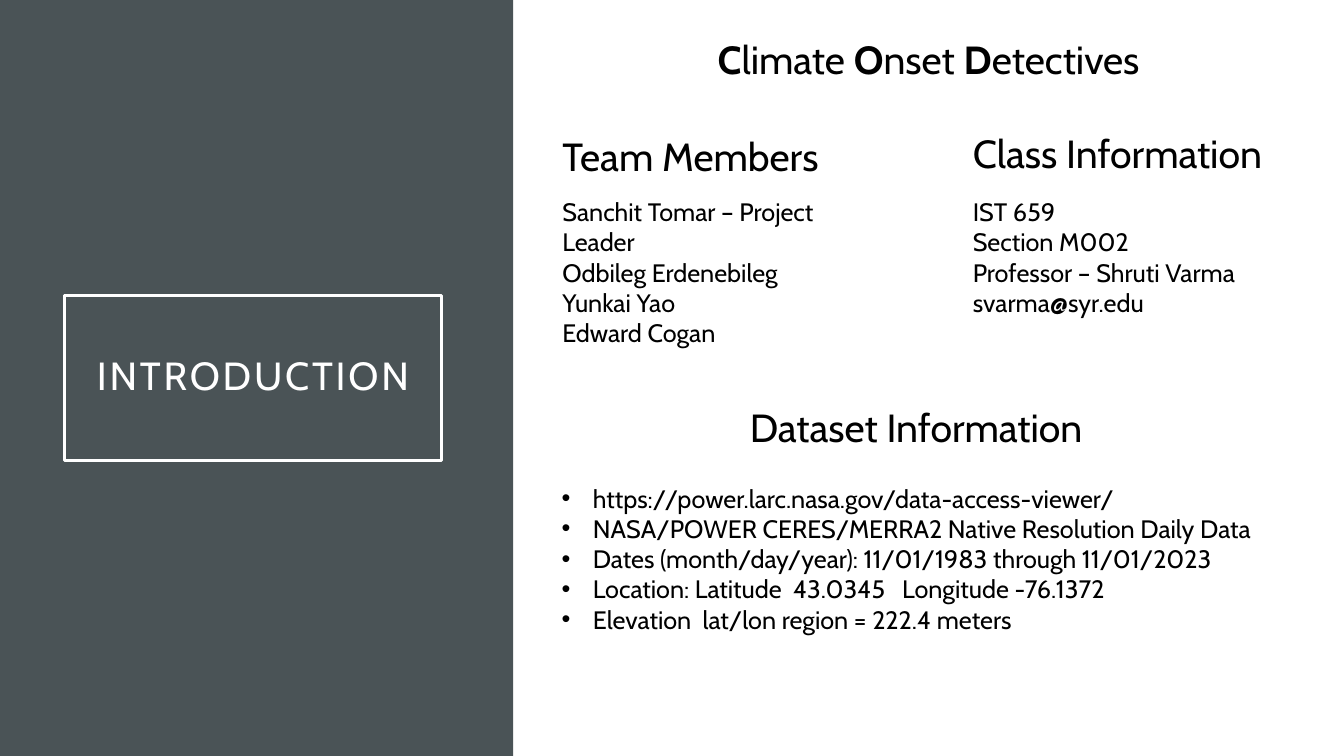
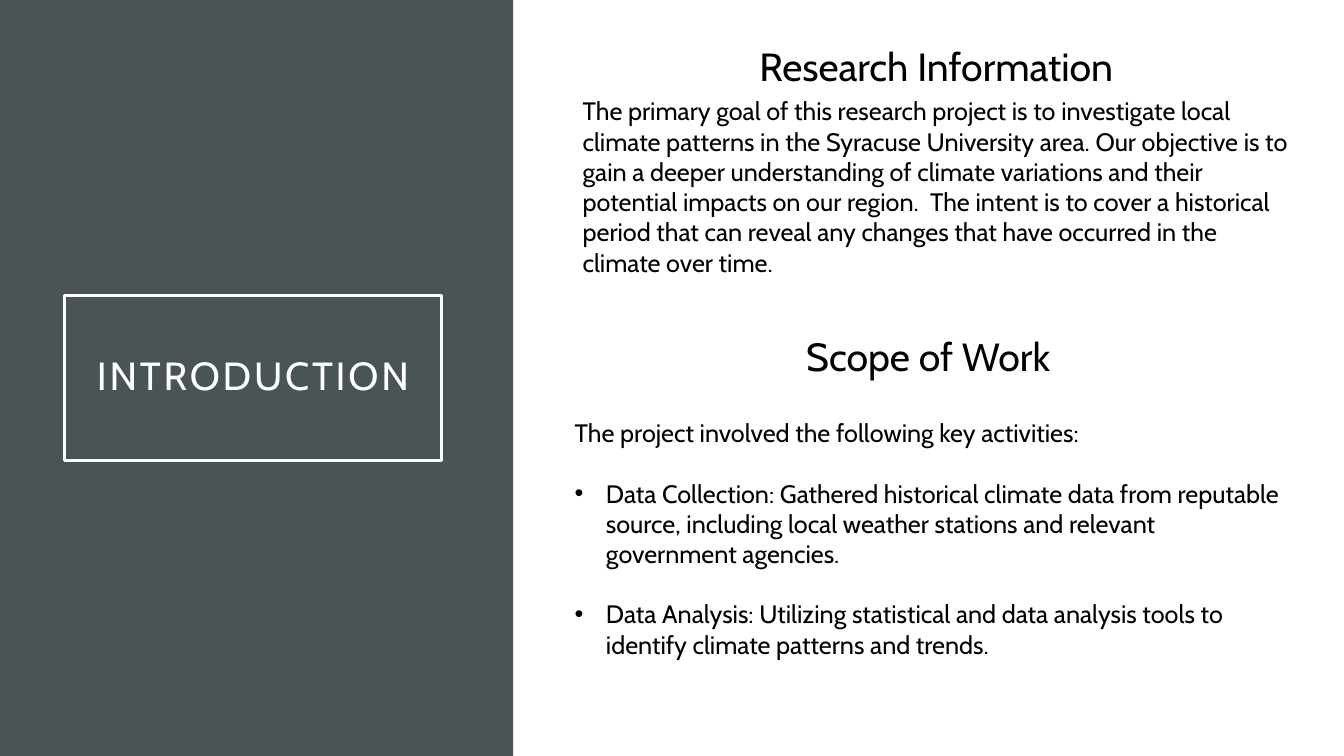
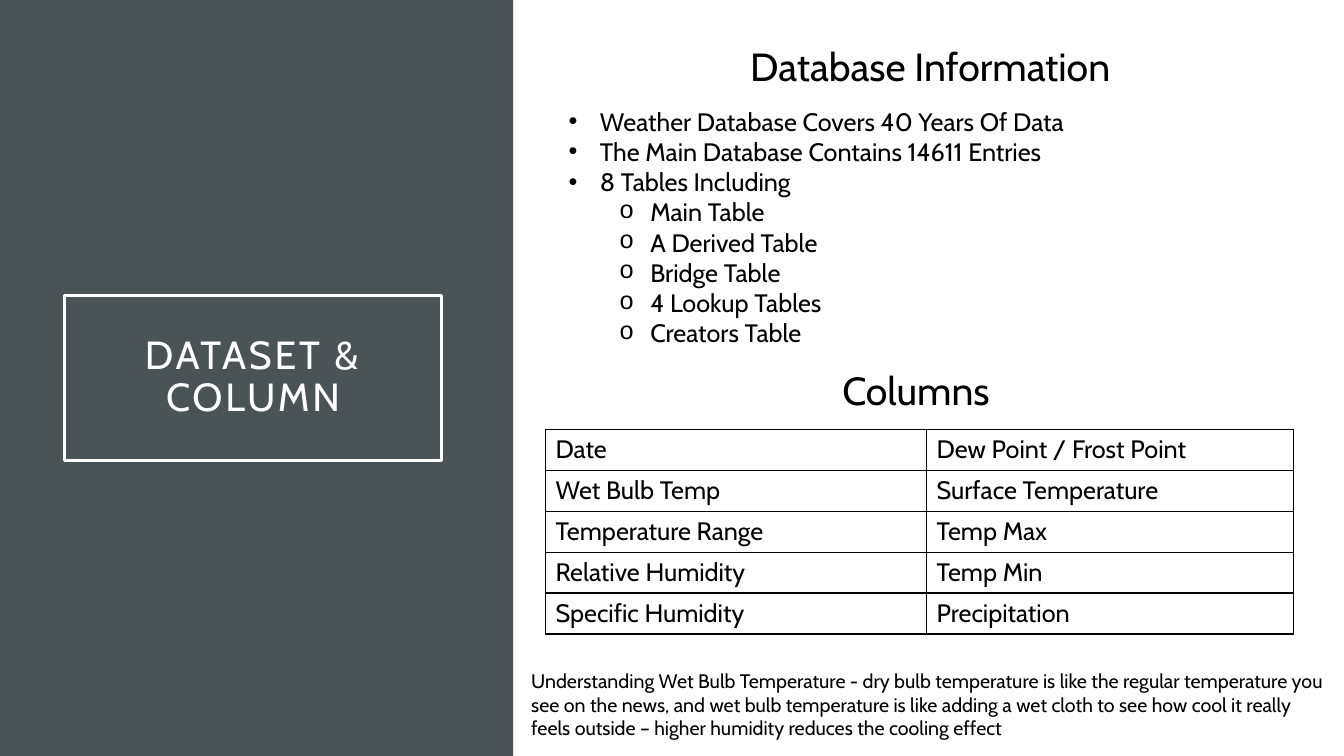
import pptx
import pptx.dml.color
import pptx.enum.shapes
import pptx.enum.text
import pptx.oxml
import pptx.oxml.ns
import pptx.util
from pptx.util import Inches

SLATE = pptx.dml.color.RGBColor(0x4A, 0x53, 0x56)
WHITE = pptx.dml.color.RGBColor(0xFF, 0xFF, 0xFF)
BLACK = pptx.dml.color.RGBColor(0x00, 0x00, 0x00)
FONT = "Cabin"
HEADING_SIZE, BODY_SIZE, NOTE_SIZE = 28, 18, 14
LEFT = pptx.enum.text.PP_ALIGN.LEFT
CENTER = pptx.enum.text.PP_ALIGN.CENTER
DRAWING_NS = pptx.oxml.ns.nsdecls("a")
BULLETS = [("Arial", "•"), ("Courier New", "o")]  # one per list level
BULLET_HANG, LEVEL_STEP = 0.31, 0.5


def write_text(frame, paragraphs, size=BODY_SIZE, color=BLACK, align=LEFT,
               levels=None, gap=0):
    """Fill a text frame; ** switches bold, levels gives each bullet level or None."""
    frame.word_wrap = True
    for index, text in enumerate(paragraphs):
        paragraph = frame.paragraphs[0] if index == 0 else frame.add_paragraph()
        paragraph.alignment = align
        paragraph.space_before = pptx.util.Pt(gap if index else 0)
        properties = paragraph._p.get_or_add_pPr()
        level = levels[index] if levels else None
        if level is None:
            properties.set("marL", "0")
            properties.set("indent", "0")
            properties.append(pptx.oxml.parse_xml(f"<a:buNone {DRAWING_NS}/>"))
        else:
            paragraph.level = level
            properties.set("marL", str(Inches(BULLET_HANG + LEVEL_STEP * level)))
            properties.set("indent", str(Inches(-BULLET_HANG)))
            bullet_font, mark = BULLETS[level]
            properties.append(pptx.oxml.parse_xml(
                f'<a:buFont {DRAWING_NS} typeface="{bullet_font}"/>'))
            properties.append(pptx.oxml.parse_xml(
                f'<a:buChar {DRAWING_NS} char="{mark}"/>'))
        for part, run_text in enumerate(text.split("**")):
            if run_text:
                run = paragraph.add_run()
                run.text = run_text
                run.font.name = FONT
                run.font.size = pptx.util.Pt(size)
                run.font.color.rgb = color
                run.font.bold = part % 2 == 1


def place(shape, left, top, width, height):
    shape.left, shape.top = Inches(left), Inches(top)
    shape.width, shape.height = Inches(width), Inches(height)


presentation = pptx.Presentation()
presentation.slide_width = Inches(13.33)
presentation.slide_height = Inches(7.5)

# Content: headings and texts hold (box, paragraphs); the list fills the body placeholder
pages = [
    {
        "title": "INTRODUCTION",
        "headings": [
            ((5.09, 0.3, 8.24, 0.63), "**C**limate **O**nset **D**etectives", CENTER),
            ((5.48, 1.26, 3.43, 0.63), "Team Members", LEFT),
            ((9.55, 1.23, 3.39, 0.66), "Class Information", LEFT),
            ((5.48, 3.95, 7.21, 0.62), "Dataset Information", CENTER),
        ],
        "texts": [
            ((5.48, 1.9, 3.43, 1.31), BODY_SIZE,
             ["Sanchit Tomar – Project Leader", "Odbileg Erdenebileg",
              "Yunkai Yao", "Edward Cogan"]),
            ((9.55, 1.9, 3.43, 1.31), BODY_SIZE,
             ["IST 659", "Section M002", "Professor – Shruti Varma",
              "svarma@syr.edu"]),
        ],
        "list_box": (5.47, 4.74, 7.21, 1.62),
        "list": [
            (0, "https://power.larc.nasa.gov/data-access-viewer/"),
            (0, "NASA/POWER CERES/MERRA2 Native Resolution Daily Data"),
            (0, "Dates (month/day/year): 11/01/1983 through 11/01/2023"),
            (0, "Location: Latitude  43.0345   Longitude -76.1372"),
            (0, "Elevation  lat/lon region = 222.4 meters"),
        ],
        "list_gap": 0,
    },
    {
        "title": "INTRODUCTION",
        "headings": [
            ((5.18, 0.37, 8.21, 0.62), "Research Information", CENTER),
            ((5.1, 3.25, 8.21, 0.62), "Scope of Work", CENTER),
        ],
        "texts": [
            ((5.68, 0.9, 7.21, 1.92), BODY_SIZE,
             ["The primary goal of this research project is to investigate local "
              "climate patterns in the Syracuse University area. Our objective is "
              "to gain a deeper understanding of climate variations and their "
              "potential impacts on our region.  The intent is to cover a "
              "historical period that can reveal any changes that have occurred "
              "in the climate over time."]),
        ],
        "list_box": (5.6, 4.09, 7.21, 2.83),
        "list": [
            (None, "The project involved the following key activities:"),
            (0, "Data Collection: Gathered historical climate data from reputable "
                "source, including local weather stations and relevant "
                "government agencies."),
            (0, "Data Analysis: Utilizing statistical and data analysis tools to "
                "identify climate patterns and trends."),
        ],
        "list_gap": 21.6,
    },
    {
        "title": "DATASET & COLUMN",
        "headings": [
            ((5.62, 0.37, 7.21, 0.62), "Database Information", CENTER),
            ((5.48, 3.58, 7.21, 0.62), "Columns", CENTER),
        ],
        "texts": [
            ((5.17, 6.59, 8.09, 0.81), NOTE_SIZE,
             ["Understanding Wet Bulb Temperature - dry bulb temperature is like "
              "the regular temperature you see on the news, and wet bulb "
              "temperature is like adding a wet cloth to see how cool it really "
              "feels outside – higher humidity reduces the cooling effect"]),
        ],
        "list_box": (5.54, 1, 7.21, 2.83),
        "list": [
            (0, "Weather Database Covers 40 Years Of Data"),
            (0, "The Main Database Contains 14611 Entries"),
            (0, "8 Tables Including"),
            (1, "Main Table"),
            (1, "A Derived Table"),
            (1, "Bridge Table"),
            (1, "4 Lookup Tables"),
            (1, "Creators Table"),
        ],
        "list_gap": 0,
    },
]

for page in pages:
    slide = presentation.slides.add_slide(presentation.slide_layouts[1])

    # Side band, behind everything else
    band = slide.shapes.add_shape(pptx.enum.shapes.MSO_SHAPE.RECTANGLE,
                                  0, 0, Inches(5.09), Inches(7.5))
    band.shadow.inherit = False
    band.fill.solid()
    band.fill.fore_color.rgb = SLATE
    band.line.fill.background()
    slide.shapes._spTree.insert(2, band._element)

    # Framed title
    title = slide.shapes.title
    place(title, 0.64, 2.93, 3.74, 1.64)
    title.fill.background()
    title.line.color.rgb = WHITE
    title.line.width = pptx.util.Pt(2.5)
    frame = title.text_frame
    frame.auto_size = pptx.enum.text.MSO_AUTO_SIZE.NONE
    frame.vertical_anchor = pptx.enum.text.MSO_ANCHOR.MIDDLE
    frame.margin_left = frame.margin_right = Inches(0.2)
    frame.margin_top = frame.margin_bottom = Inches(0.2)
    write_text(frame, [page["title"]], size=HEADING_SIZE, color=WHITE, align=CENTER)
    frame.paragraphs[0].line_spacing = 0.9
    frame.paragraphs[0].runs[0].font._element.set("spc", "200")

    # List
    body = slide.placeholders[1]
    place(body, *page["list_box"])
    body.text_frame.auto_size = pptx.enum.text.MSO_AUTO_SIZE.NONE
    levels, lines = zip(*page["list"])
    write_text(body.text_frame, lines, levels=levels, gap=page["list_gap"])

    # Headings and running text
    for box, text, align in page["headings"]:
        heading = slide.shapes.add_textbox(*map(Inches, box))
        write_text(heading.text_frame, [text], size=HEADING_SIZE, align=align)
    for box, size, paragraphs in page["texts"]:
        text_box = slide.shapes.add_textbox(*map(Inches, box))
        write_text(text_box.text_frame, paragraphs, size=size)

# Table of columns on the last slide
column_names = [
    ("Date", "Dew Point / Frost Point"),
    ("Wet Bulb Temp", "Surface Temperature"),
    ("Temperature Range", "Temp Max"),
    ("Relative Humidity", "Temp Min"),
    ("Specific Humidity", "Precipitation"),
]
table = slide.shapes.add_table(len(column_names), 2, Inches(5.41), Inches(4.26),
                               Inches(7.42), Inches(2.03)).table
table.first_row = False
table.horz_banding = False
for column, width in zip(table.columns, (3.78, 3.64)):
    column.width = Inches(width)
for row_index, names in enumerate(column_names):
    for column_index, name in enumerate(names):
        cell = table.cell(row_index, column_index)
        write_text(cell.text_frame, [name])
        cell_properties = cell._tc.get_or_add_tcPr()
        for side in ("lnL", "lnR", "lnT", "lnB"):
            cell_properties.append(pptx.oxml.parse_xml(
                f'<a:{side} {DRAWING_NS} w="{pptx.util.Pt(1)}"><a:solidFill>'
                f'<a:srgbClr val="{BLACK}"/></a:solidFill></a:{side}>'))
        cell.fill.background()

presentation.save("out.pptx")
